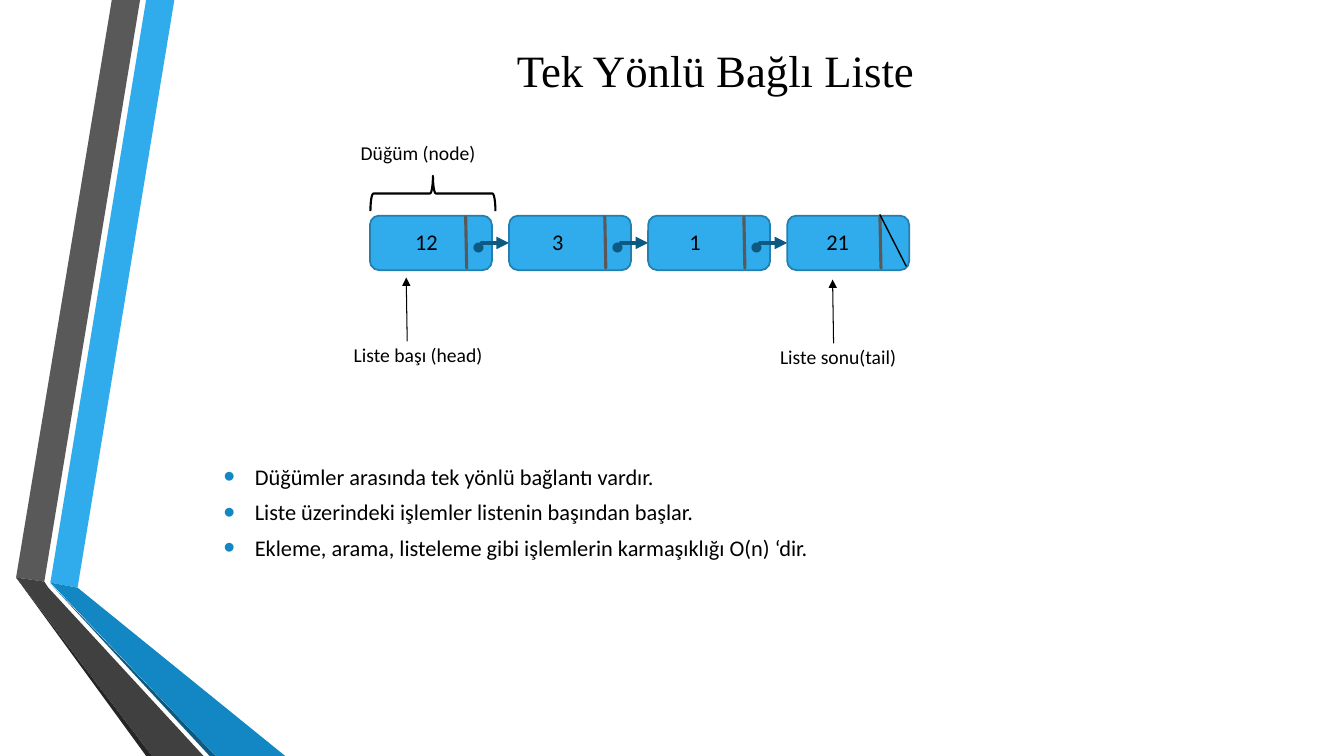
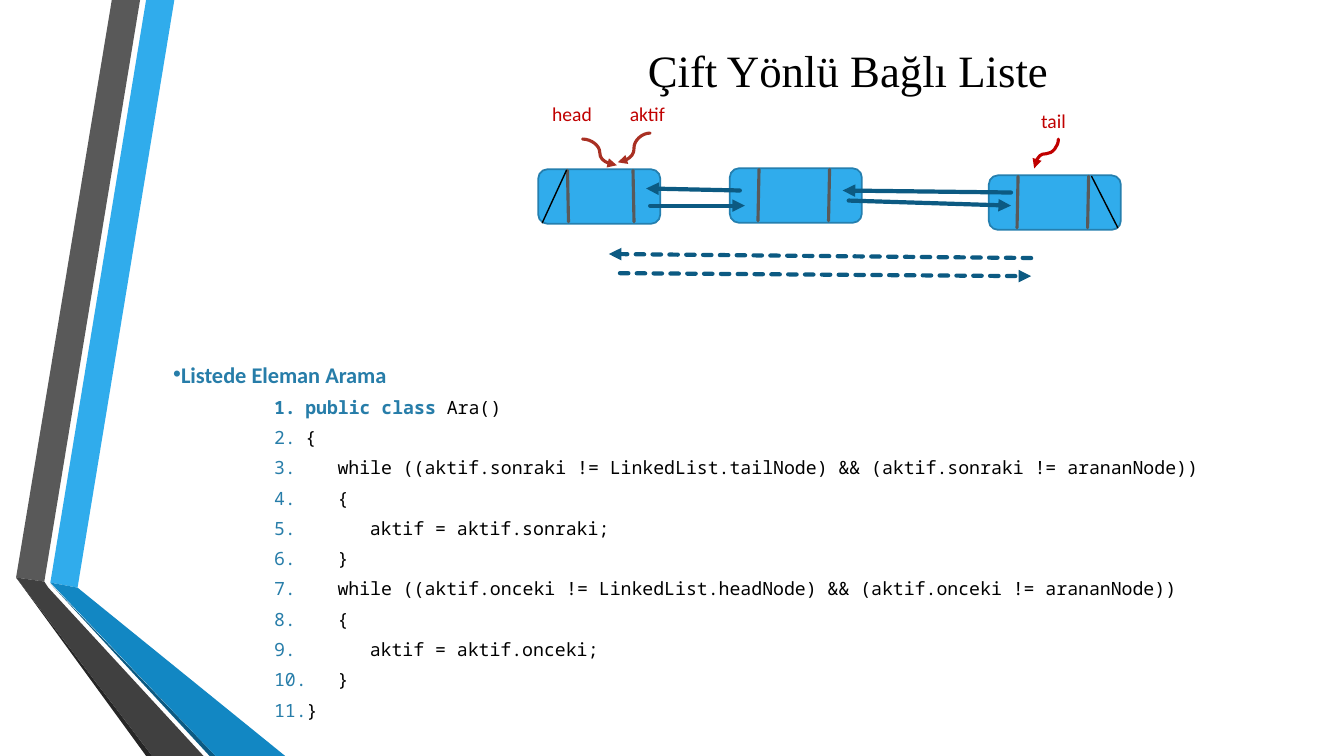
from pptx import Presentation
from pptx.dml.color import RGBColor
from pptx.enum.dml import MSO_LINE
from pptx.enum.shapes import MSO_CONNECTOR, MSO_SHAPE
from pptx.enum.text import MSO_ANCHOR, PP_ALIGN
from pptx.oxml.ns import qn
from pptx.util import Emu, Inches, Pt
from lxml.etree import SubElement

COLUMNS, ROWS = 40, 22.5
CELL = Inches(1) / 3
BLACK, BLUE, MID_BLUE, DARK_BLUE = "000000", "30ACEC", "1287C3", "0C5A82"
EDGE, GRAY, CODE, RED, BRICK = "247FAF", "595959", "277DA9", "C00000", "A93023"
BODY_FONT, CODE_FONT, TITLE_FONT = "Calibri", "Noto Sans Mono", "Times New Roman"
NODE_HEIGHT = 1.62
LABEL_HEIGHT = 1.02
BANDS = [
    (BLUE, [(1.5, 17.34), (2.31, 17.49), (5.19, 0), (4.35, 0)]),
    (GRAY, [(4.17, 0), (3.33, 0), (0.48, 17.19), (1.32, 17.31)]),
    ("262626", [(0.48, 17.19), (4.35, ROWS), (4.53, ROWS)]),
    (DARK_BLUE, [(1.5, 17.37), (6.24, ROWS), (6.42, ROWS)]),
    (MID_BLUE, [(1.5, 17.34), (6.42, ROWS), (8.49, ROWS), (2.31, 17.49)]),
    ("404040", [(0.48, 17.19), (4.53, ROWS), (6.06, ROWS), (1.44, 17.49), (1.32, 17.31)]),
]
FEATURES = [
    "Düğümler arasında tek yönlü bağlantı vardır.",
    "Liste üzerindeki işlemler listenin başından başlar.",
    "Ekleme, arama, listeleme gibi işlemlerin karmaşıklığı O(n) ‘dir.",
]
SEARCH_CODE = [
    (0, "{"),
    (1, "while ((aktif.sonraki != LinkedList.tailNode) && (aktif.sonraki != arananNode))"),
    (1, "{"),
    (2, "aktif = aktif.sonraki;"),
    (1, "}"),
    (1, "while ((aktif.onceki != LinkedList.headNode) && (aktif.onceki != arananNode))"),
    (1, "{"),
    (2, "aktif = aktif.onceki;"),
    (1, "}"),
    (0, "}"),
]


def grid(*cells):
    return [Emu(round(cell * CELL)) for cell in cells]


def rgb(color):
    return RGBColor.from_string(color)


def write(para, text, size=14, font=BODY_FONT, color=BLACK, bold=False):
    span = para.add_run()
    span.text = text
    span.font.size = Pt(size)
    span.font.name = font
    span.font.bold = bold
    span.font.color.rgb = rgb(color)


def add_box(page, place, anchor=MSO_ANCHOR.TOP):
    frame = page.shapes.add_textbox(*grid(*place)).text_frame
    frame.word_wrap = True
    frame.vertical_anchor = anchor
    return frame


def add_label(page, place, text, **style):
    write(add_box(page, place).paragraphs[0], text, **style)


def add_title(page, left, width, text):
    para = add_box(page, (left, 0.51, width, 3.12), MSO_ANCHOR.MIDDLE).paragraphs[0]
    para.alignment = PP_ALIGN.CENTER
    write(para, text, size=32, font=TITLE_FONT)


def add_item(frame, margin, hanging, color, size=100, numbered=False):
    first = frame.paragraphs[0]
    para = frame.add_paragraph() if first.runs else first
    para.space_after = Pt(6)
    props = para._p.get_or_add_pPr()
    props.set("marL", str(Inches(margin)))
    props.set("indent", str(Inches(-hanging)))
    bullet_color = SubElement(props, qn("a:buClr"))
    SubElement(bullet_color, qn("a:srgbClr"), val=color)
    SubElement(props, qn("a:buSzPct"), val=str(size * 1000))
    if numbered:
        SubElement(props, qn("a:buFont"), typeface=CODE_FONT)
        SubElement(props, qn("a:buAutoNum"), type="arabicPeriod")
    else:
        SubElement(props, qn("a:buFont"), typeface="Arial")
        SubElement(props, qn("a:buChar"), char="•")
    return para


def add_line(page, start, end, color=BLACK, width=1.0, arrow=False, dashed=False,
             kind=MSO_CONNECTOR.STRAIGHT):
    link = page.shapes.add_connector(kind, *grid(*start, *end))
    link.line.color.rgb = rgb(color)
    link.line.width = Pt(width)
    if dashed:
        link.line.dash_style = MSO_LINE.SQUARE_DOT
    stroke = link.line._get_or_add_ln()
    stroke.set("cap", "rnd")
    if arrow:
        SubElement(stroke, qn("a:tailEnd"), type="triangle")
    SubElement(link.element.spPr, qn("a:effectLst"))
    return link


def add_link(page, start, end, dashed=False):
    add_line(page, start, end, DARK_BLUE, 3, arrow=True, dashed=dashed)


def add_curve(page, start, end, color, upright=False):
    if upright:
        middle_x, middle_y = (start[0] + end[0]) / 2, (start[1] + end[1]) / 2
        half_x, half_y = (end[1] - start[1]) / 2, (start[0] - end[0]) / 2
        start = (middle_x - half_x, middle_y - half_y)
        end = (middle_x + half_x, middle_y + half_y)
    curve = add_line(page, start, end, color, 2.25, arrow=True, kind=MSO_CONNECTOR.CURVE)
    if upright:
        curve.element.spPr.find(qn("a:xfrm")).set("rot", str(90 * 60000))


def add_node(page, left, top, width, dividers, lean=0.03):
    node = page.shapes.add_shape(
        MSO_SHAPE.ROUNDED_RECTANGLE, *grid(left, top, width, NODE_HEIGHT))
    node.shadow.inherit = False
    node.fill.solid()
    node.fill.fore_color.rgb = rgb(BLUE)
    node.line.color.rgb = rgb(EDGE)
    node.line.width = Pt(1.25)
    for divider in dividers:
        x = left + divider
        add_line(page, (x, top + 0.03), (x + lean, top + 1.56), GRAY, 2.25)


def add_brace(page, place):
    brace = page.shapes.add_shape(MSO_SHAPE.LEFT_BRACE, *grid(*place))
    brace.shadow.inherit = False
    brace.rotation = 90
    brace.fill.background()
    brace.line.color.rgb = rgb(BLACK)
    brace.line.width = Pt(1.5)


def move_bands_to_layout(page, layout):
    for holder in list(layout.placeholders):
        layout.shapes.element.remove(holder.element)
    for color, points in BANDS:
        corners = [grid(*point) for point in points]
        builder = page.shapes.build_freeform(*corners[0])
        builder.add_line_segments(corners[1:], close=True)
        band = builder.convert_to_shape()
        band.shadow.inherit = False
        band.fill.solid()
        band.fill.fore_color.rgb = rgb(color)
        band.line.fill.background()
        layout.shapes.element.append(band.element)


def fill_single_list(page):
    add_title(page, 4.86, 32.88, "Tek Yönlü Bağlı Liste")
    features = add_box(page, (4.86, 9.18, 32.88, 12.12), MSO_ANCHOR.MIDDLE)
    for feature in FEATURES:
        para = add_item(features, 0.81, 0.31, MID_BLUE, size=145)
        para.alignment = PP_ALIGN.JUSTIFY
        write(para, feature, size=16)

    left, top, pitch = 11.01, 6.42, 4.14
    values = ["12", "3", "1", "21"]
    last = len(values) - 1
    for index, value in enumerate(values):
        x = left + index * pitch
        add_node(page, x, top, 3.63, [2.85 if index < last else 2.76])
        add_label(page, (12.06 + index * 4.08, 6.63, 1.38, 1.11), value, size=16)
        if index < last:
            add_link(page, (x + 3.33, 7.23), (x + pitch, 7.23))
            add_label(page, (x + 2.67, 5.36, 0.69, 2.73), ".",
                      size=48, color=DARK_BLUE, bold=True)
    add_line(page, (26.97, 7.92), (26.19, 6.39))

    for x, y, text in [(10.23, 10.05, "Liste başı (head)"), (22.92, 10.11, "Liste sonu(tail)")]:
        add_line(page, (x + 1.89, y + 0.1), (x + 1.86, y - 1.79), width=0.75, arrow=True)
        add_label(page, (x, y, 4.92, LABEL_HEIGHT), text)
    add_brace(page, (12.36, 3.9, 1.05, 3.72))
    add_label(page, (10.44, 4.05, 4.92, LABEL_HEIGHT), "Düğüm (node)")


def fill_search_code(page):
    frame = add_box(page, (4.86, 10.59, 32, 11.91))
    heading = add_item(frame, 0, 0.31, CODE)
    write(heading, "Listede Eleman Arama", size=16, color=CODE, bold=True)
    style = {"size": 13, "font": CODE_FONT}
    signature = add_item(frame, 1.31, 0.31, CODE, numbered=True)
    write(signature, "public class ", color=CODE, bold=True, **style)
    write(signature, "Ara()", **style)
    for depth, code in SEARCH_CODE:
        shift = depth * 0.32
        write(add_item(frame, 1.31 + shift, 0.31 + shift, CODE, numbered=True), code, **style)


def fill_double_list(page):
    add_title(page, 12.75, 24.99, "Çift Yönlü Bağlı Liste")
    fill_search_code(page)

    add_node(page, 16.02, 5.04, 3.63, [0.87, 2.82])
    add_node(page, 21.72, 5.01, 3.93, [0.87, 2.97], lean=-0.03)
    add_node(page, 29.43, 5.22, 3.93, [0.87, 2.97], lean=-0.03)
    add_line(page, (16.14, 6.63), (16.86, 5.07))
    add_line(page, (33.27, 6.78), (32.49, 5.25))

    for x, y, width, text in [(16.14, 2.88, 1.89, "head"), (18.45, 2.88, 1.8, "aktif"),
                              (30.69, 3.09, 1.41, "tail")]:
        add_label(page, (x, y, width, LABEL_HEIGHT), text, color=RED)
    add_curve(page, (17.34, 4.14), (18.36, 4.92), BRICK)
    add_curve(page, (19.35, 3.96), (18.39, 4.83), BRICK)
    add_curve(page, (31.5, 4.14), (30.78, 5.01), RED, upright=True)

    for start, end in [((19.35, 6.12), (22.17, 6.12)), ((22.02, 5.67), (19.23, 5.61)),
                       ((30.09, 5.73), (25.08, 5.67)), ((25.26, 5.97), (30.09, 6.12))]:
        add_link(page, start, end)
    add_link(page, (30.69, 7.68), (18.12, 7.56), dashed=True)
    add_link(page, (18.45, 8.13), (30.69, 8.22), dashed=True)


def main():
    deck = Presentation()
    deck.slide_width, deck.slide_height = grid(COLUMNS, ROWS)
    blank = deck.slide_layouts[6]
    single_page = deck.slides.add_slide(blank)
    double_page = deck.slides.add_slide(blank)
    move_bands_to_layout(single_page, blank)
    fill_single_list(single_page)
    fill_double_list(double_page)
    deck.save("out.pptx")


main()
